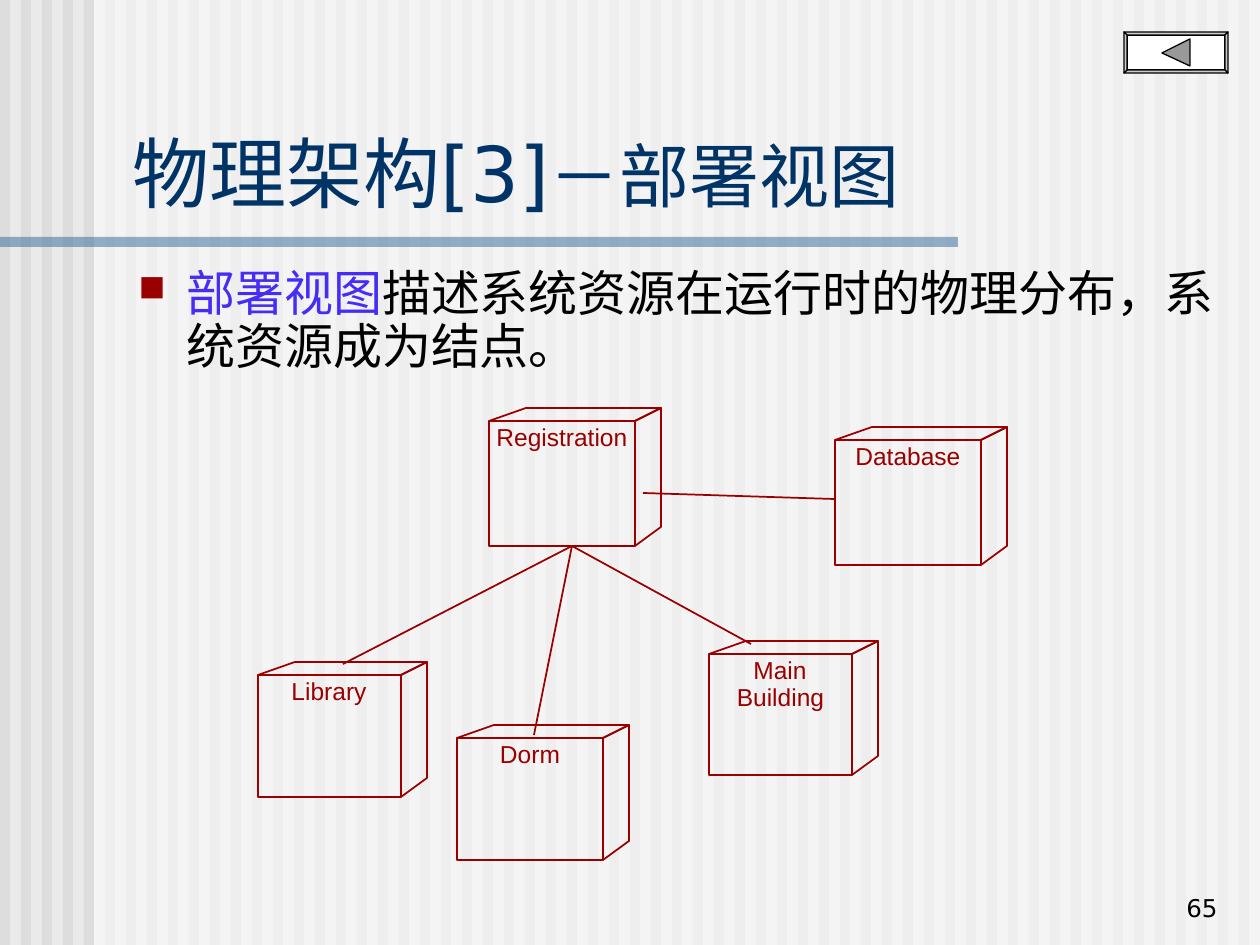
from lxml import etree
from pptx import Presentation
from pptx import util as u
from pptx.dml.color import RGBColor
from pptx.enum import shapes, text
from pptx.oxml.ns import qn

SCALE = 914400 / 126
WIDTH, HEIGHT = 1260, 945
RED, BLACK, WHITE = "9A0000", "000000", "FFFFFF"
CUBES = [
    (489, 421, 146, 125, [("Registration", 140)]),
    (835, 440, 146, 125, [("Database", 114)]),
    (258, 675, 143, 122, [("Library", 84)]),
    (457, 738, 146, 122, [("Dorm", 68)]),
    (709, 654, 143, 121, [("Main", 68), ("Building", 97)]),
]
LINKS = [
    ((572, 546), (343, 664)),
    ((572, 546), (534, 735)),
    ((572, 546), (751, 644)),
    ((643, 493), (834, 499)),
]


def px(length):
    """Turn a length in pixels into EMU."""
    return u.Emu(round(length * SCALE))


def color(code):
    """Turn a hex string into a colour."""
    return RGBColor.from_string(code)


def apply(target, values):
    """Set every attribute of target that values names."""
    for name, value in values.items():
        setattr(target, name, value)


def child(parent, tag, **attributes):
    """Append a drawing element to parent."""
    return etree.SubElement(parent, qn(tag), attributes)


def paint(shape, fill=None, line=None, width=1.0, alpha=None):
    """Give a shape its fill and outline, without a shadow."""
    shape.shadow.inherit = False
    if fill:
        shape.fill.solid()
        shape.fill.fore_color.rgb = color(fill)
        if alpha:
            tone = shape.fill._xPr.find(".//" + qn("a:srgbClr"))
            child(tone, "a:alpha", val=str(alpha * 1000))
    else:
        shape.fill.background()
    if line:
        shape.line.color.rgb = color(line)
        shape.line.width = u.Pt(width)
    else:
        shape.line.fill.background()


def add_rect(parent, left, top, width, height, **look):
    """Add a painted rectangle."""
    kind = shapes.MSO_SHAPE.RECTANGLE
    rect = parent.add_shape(kind, px(left), px(top), px(width), px(height))
    paint(rect, **look)


def add_outline(parent, points, close=True, **look):
    """Add a painted polygon or open path through points."""
    builder = parent.build_freeform(*points[0], scale=SCALE)
    builder.add_line_segments(points[1:], close=close)
    paint(builder.convert_to_shape(), **look)


def add_text(parent, left, top, width, height, spans, frame=None, para=None):
    """Add a text box of one paragraph from (words, size, colour, font) spans."""
    box = parent.add_textbox(px(left), px(top), px(width), px(height))
    apply(box.text_frame, {"word_wrap": True, **(frame or {})})
    paragraph = box.text_frame.paragraphs[0]
    apply(paragraph, para or {})
    for words, size, code, font in spans:
        span = paragraph.add_run()
        span.text = words
        apply(span.font, {"size": u.Pt(size), "name": font})
        span.font.color.rgb = color(code)
        child(span.font._element, "a:ea", typeface=font)
    return paragraph


def add_bullet(para, indent):
    """Give a paragraph a hanging red square bullet."""
    props = para._p.get_or_add_pPr()
    props.set("marL", str(px(indent)))
    props.set("indent", str(px(-indent)))
    child(child(props, "a:buClr"), "a:srgbClr", val=RED)
    child(props, "a:buSzPct", val="75000")
    child(props, "a:buChar", char="■")


def add_backdrop(page):
    """Add the stripes, the pale panel and the title rule."""
    page.background.fill.solid()
    page.background.fill.fore_color.rgb = color("EAEAEA")
    group = page.shapes.add_group_shape().shapes
    for left in range(0, WIDTH, 21):
        add_rect(group, left, 0, 10, HEIGHT, fill="DDDDDD")
    add_rect(group, 94, 0, WIDTH - 94, HEIGHT, fill=WHITE, alpha=50)
    add_rect(group, 0, 237, 958, 10, fill="336699", alpha=50)


def add_cube(page, left, top, width, height, lines):
    """Add a deployment node as a cube with its label lines."""
    group = page.shapes.add_group_shape().shapes
    right, bottom = left + width, top + height
    far, back = right + 26, top - 13
    add_rect(group, left, top, width, height, line=RED)
    lid = [(left, top), (left + 37, back), (far, back), (right, top)]
    side = [(right, top), (far, back), (far, bottom - 19), (right, bottom)]
    for points in (lid, side):
        add_outline(group, points, close=False, line=RED)
    frame = dict.fromkeys(
        ("margin_left", "margin_top", "margin_right", "margin_bottom"), 0)
    frame["word_wrap"] = False
    for row, (words, length) in enumerate(lines):
        add_text(group, left + (width - length) // 2, top + 1 + 27 * row,
                 length, 29, [(words, 14, RED, "Arial")], frame,
                 {"alignment": text.PP_ALIGN.CENTER})


def add_link(parent, start, end):
    """Add a plain red line between two points."""
    link = parent.add_connector(shapes.MSO_CONNECTOR.STRAIGHT,
                                *map(px, start + end))
    link.line.color.rgb = color(RED)
    link.line.width = u.Pt(1)
    child(link._element.spPr, "a:effectLst")


def corners(left, top, right, bottom):
    """List the corners of a rectangle clockwise."""
    return [(left, top), (right, top), (right, bottom), (left, bottom)]


def add_back_button(page):
    """Add the bevelled button with its left-pointing triangle."""
    group = page.shapes.add_group_shape().shapes
    outer = corners(1124, 32, 1228, 73)
    inner = corners(1127, 35, 1225, 70)
    look = {"line": BLACK, "width": 0.75}
    add_outline(group, inner, fill=WHITE, **look)
    for side in range(4):
        after = (side + 1) % 4
        face = [outer[side], outer[after], inner[after], inner[side]]
        add_outline(group, face, fill="CCCCCC", **look)
    add_outline(group, [(1162, 53), (1190, 39), (1190, 66)],
                fill="999999", **look)


def main():
    """Build the deployment view slide and save it."""
    deck = Presentation()
    apply(deck, {"slide_width": px(WIDTH), "slide_height": px(HEIGHT)})
    page = deck.slides.add_slide(deck.slide_layouts[6])
    sans = "DejaVu Sans"
    low = {"vertical_anchor": text.MSO_ANCHOR.BOTTOM}
    add_backdrop(page)
    add_text(page.shapes, 120, 118, 1125, 106,
             [("物理架构[3]", 44, "003366", sans),
              ("－部署视图", 40, "003366", sans)], low)
    body = add_text(page.shapes, 126, 263, 1118, 126,
                    [("部署视图", 28, "452DF5", sans),
                     ("描述系统资源在运行时的物理分布，系统资源成为结点。",
                      28, BLACK, sans)],
                    para={"line_spacing": 0.9, "space_before": u.Pt(7)})
    add_bullet(body, 48)
    for cube in CUBES:
        add_cube(page, *cube)
    links = page.shapes.add_group_shape().shapes
    for start, end in LINKS:
        add_link(links, start, end)
    add_back_button(page)
    add_text(page.shapes, 968, 866, 262, 63, [("65", 14, BLACK, sans)],
             low, {"alignment": text.PP_ALIGN.RIGHT})
    deck.save("out.pptx")


if __name__ == "__main__":
    main()
